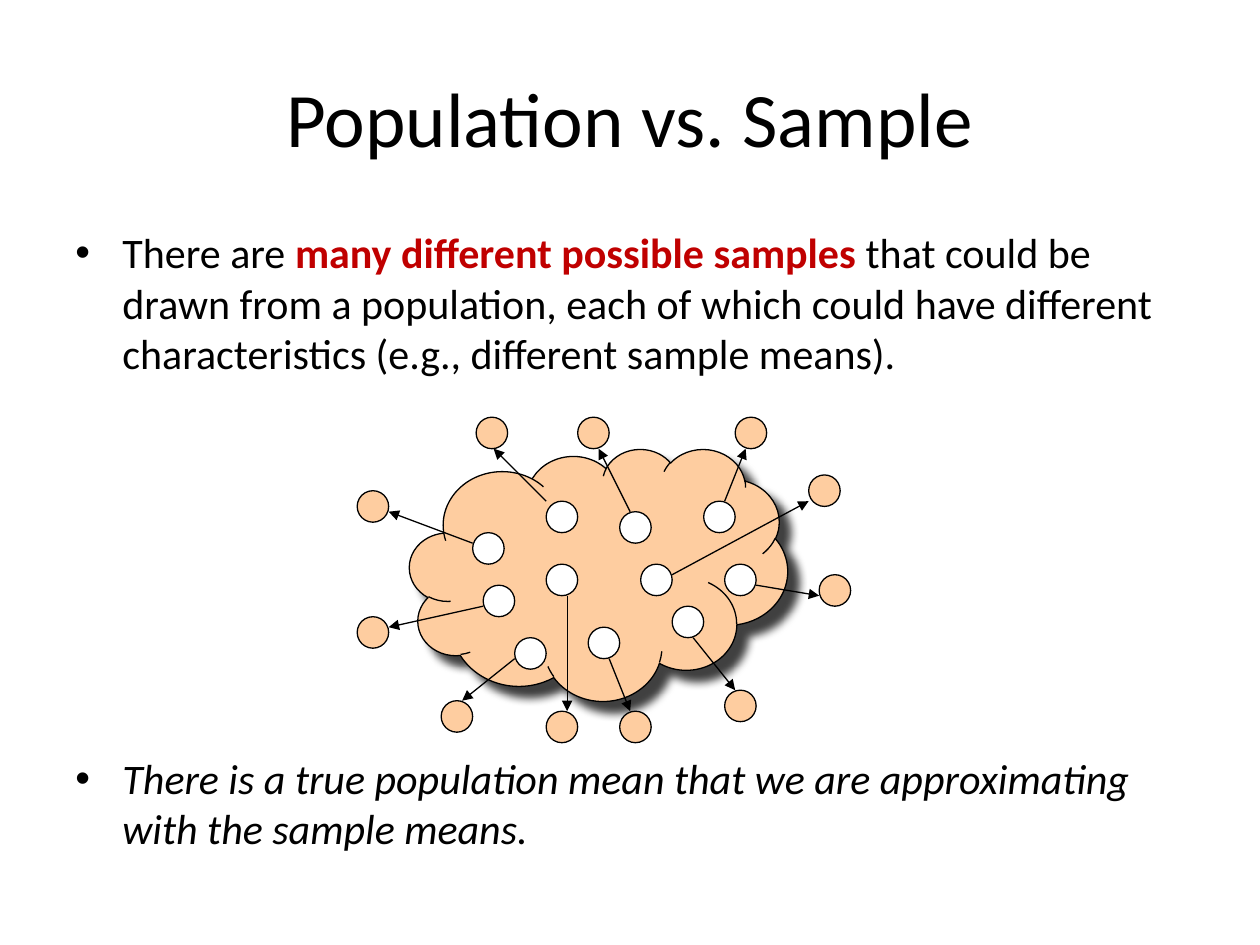
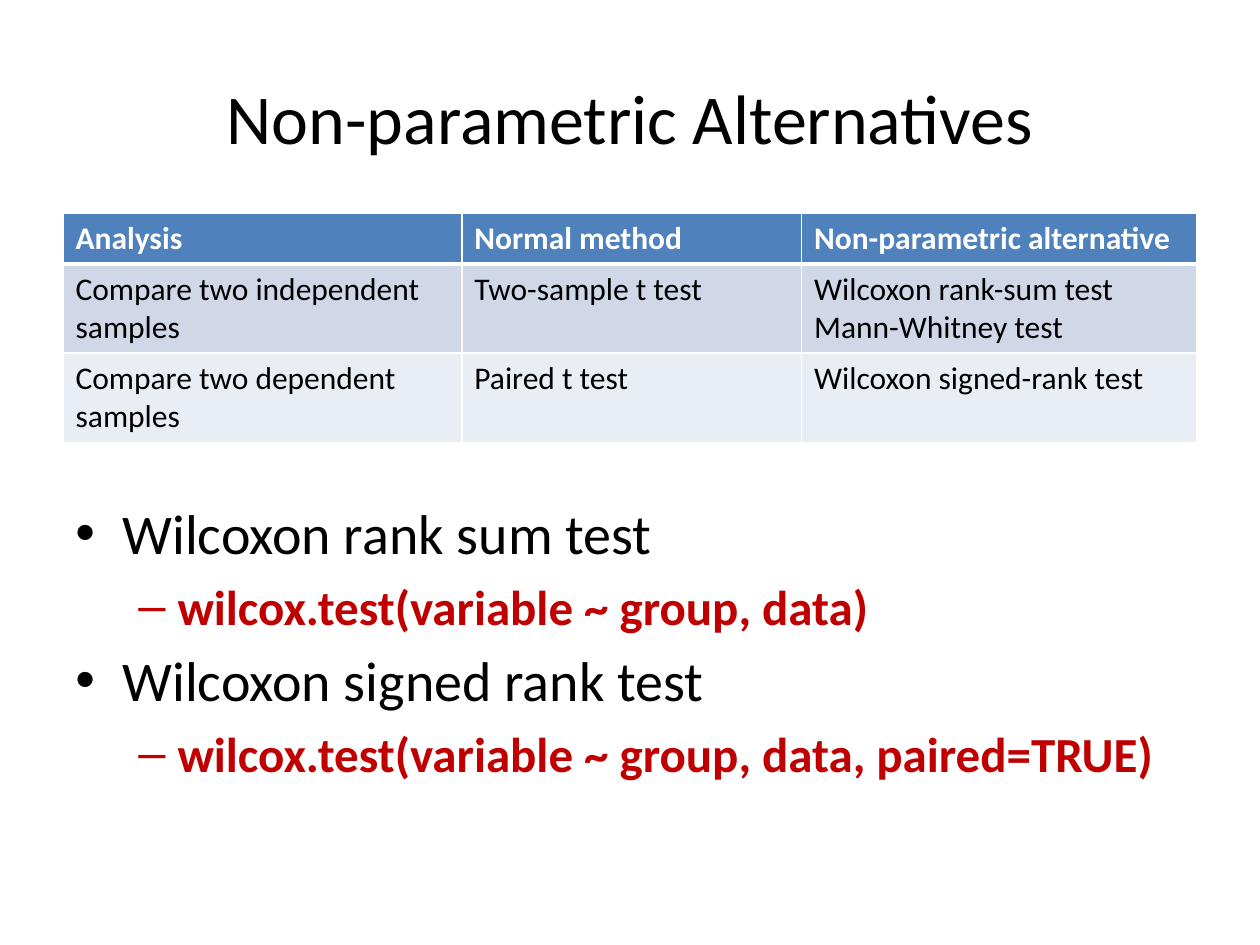
"""Build two statistics slides: samples of a population, and non-parametric tests."""
from dataclasses import dataclass

from lxml import etree
from pptx import Presentation
from pptx.dml.color import RGBColor
from pptx.enum.shapes import MSO_CONNECTOR, MSO_SHAPE
from pptx.enum.text import MSO_ANCHOR, PP_ALIGN
from pptx.oxml.ns import qn
from pptx.util import Cm, Length, Pt

STRAIGHT = MSO_CONNECTOR.STRAIGHT
OVAL, CLOUD = MSO_SHAPE.OVAL, MSO_SHAPE.CLOUD
MIDDLE, CENTER = MSO_ANCHOR.MIDDLE, PP_ALIGN.CENTER

BLACK = RGBColor(0x00, 0x00, 0x00)
WHITE = RGBColor(0xFF, 0xFF, 0xFF)
RED = RGBColor(0xC0, 0x00, 0x00)
PEACH = RGBColor(0xFE, 0xCD, 0xA0)
HEADER_BLUE = RGBColor(0x4F, 0x81, 0xBD)
BAND_DARK = RGBColor(0xD0, 0xD8, 0xE8)
BAND_LIGHT = RGBColor(0xE9, 0xED, 0xF4)

FONT = "Calibri"
LEFT, WIDTH = Cm(1.27), Cm(22.86)
DIAGRAM_LEFT, DIAGRAM_TOP = Cm(7.2), Cm(8.41)
UNIT = Cm(2.54) / 12
DOT = 3


@dataclass(frozen=True)
class Run:
    text: str
    color: RGBColor = BLACK
    bold: bool = False
    italic: bool = False


@dataclass(frozen=True)
class Level:
    bullet: str
    margin: Length
    hanging: Length


@dataclass(frozen=True)
class Bullet:
    runs: tuple[Run, ...]
    size: int
    level: int = 0
    before: int = 6


@dataclass(frozen=True)
class Draw:
    member: tuple[float, float]
    sample: tuple[float, float]
    start: tuple[float, float]
    end: tuple[float, float]


LEVELS = (Level("•", Cm(0.95), Cm(0.95)), Level("–", Cm(2.06), Cm(0.79)))

POPULATION_BULLETS = (
    Bullet((
        Run("There are "),
        Run("many different possible samples ", RED, bold=True),
        Run("that could be drawn from a population, each of which could have "
            "different characteristics (e.g., different sample means)."),
    ), 24),
    Bullet((
        Run("There is a true population mean that we are approximating "
            "with the sample means.", italic=True),
    ), 24, before=214),
)

DRAWS = (
    Draw((11, 11), (0, 7), (11, 12), (3, 9)),
    Draw((12, 16), (0, 19), (12, 18), (3, 20)),
    Draw((18, 8), (11.33, 0), (18, 8), (13, 3)),
    Draw((15, 21), (8, 27), (15, 23), (10, 27)),
    Draw((25, 9), (21, 0), (26, 9), (23, 3)),
    Draw((18, 14), (18, 28), (20, 17), (20, 28)),
    Draw((22, 20), (25, 28), (24, 23), (26, 28)),
    Draw((30, 18), (35, 26), (32, 21), (36, 26)),
    Draw((35, 14), (44, 15), (38, 16), (44, 17)),
    Draw((27, 14), (43, 5.5), (30, 15), (43, 8)),
    Draw((33, 8), (36, 0), (35, 8), (37, 3)),
)

TEST_BULLETS = (
    Bullet((Run("Wilcoxon rank sum test"),), 32),
    Bullet((Run("wilcox.test(variable ~ group, data)", RED, bold=True),), 28, 1),
    Bullet((Run("Wilcoxon signed rank test"),), 32),
    Bullet((Run("wilcox.test(variable ~ group, data, paired=TRUE)", RED, bold=True),), 28, 1),
)

TABLE = (
    ("Analysis", "Normal method", "Non-parametric alternative"),
    ("Compare two independent samples", "Two-sample t test",
     "Wilcoxon rank-sum test\nMann-Whitney test"),
    ("Compare two dependent samples", "Paired t test", "Wilcoxon signed-rank test"),
)
COLUMN_WIDTHS = (Cm(8.04), Cm(6.85), Cm(7.97))
ROW_HEIGHTS = (Cm(1.03), Cm(1.8), Cm(1.8))
ROW_FILLS = (HEADER_BLUE, BAND_DARK, BAND_LIGHT)


def add_run(p, run: Run, size: int) -> None:
    """Append one formatted run to a paragraph."""
    r = p.add_run()
    r.text = run.text
    r.font.name = FONT
    r.font.size = Pt(size)
    r.font.bold = run.bold
    r.font.italic = run.italic
    r.font.color.rgb = run.color


def add_titled_slide(prs, title: str, size: int):
    """Add a title-only slide and format its title."""
    s = prs.slides.add_slide(prs.slide_layouts[5])
    sp = s.shapes.title
    sp.left, sp.top, sp.width, sp.height = LEFT, Cm(0.76), WIDTH, Cm(3.18)
    tf = sp.text_frame
    tf.vertical_anchor = MIDDLE
    p = tf.paragraphs[0]
    p.alignment = CENTER
    add_run(p, Run(title), size)
    return s


def add_bullets(s, bullets: tuple[Bullet, ...], top: Length, width: Length,
                height: Length) -> None:
    """Add a text box of bulleted paragraphs."""
    tf = s.shapes.add_textbox(LEFT, top, width, height).text_frame
    tf.word_wrap = True
    for i, bullet in enumerate(bullets):
        p = tf.add_paragraph() if i else tf.paragraphs[0]
        p.level = bullet.level
        if i:
            p.space_before = Pt(bullet.before)
        level = LEVELS[bullet.level]
        pPr = p._p.get_or_add_pPr()
        pPr.set("marL", str(level.margin))
        pPr.set("indent", str(-level.hanging))
        etree.SubElement(pPr, qn("a:buFont"), typeface="Arial")
        etree.SubElement(pPr, qn("a:buChar"), char=level.bullet)
        for run in bullet.runs:
            add_run(p, run, bullet.size)


def place(point: tuple[float, float]) -> tuple[int, int]:
    """Turn diagram grid units into a slide position."""
    x, y = point
    return round(DIAGRAM_LEFT + x * UNIT), round(DIAGRAM_TOP + y * UNIT)


def add_outlined(s, kind, point: tuple[float, float], width: float, height: float,
                 color: RGBColor):
    """Add a filled shape with a thin black outline on the diagram grid."""
    sp = s.shapes.add_shape(kind, *place(point), round(width * UNIT), round(height * UNIT))
    sp.shadow.inherit = False
    sp.fill.solid()
    sp.fill.fore_color.rgb = color
    sp.line.color.rgb = BLACK
    sp.line.width = Pt(0.75)
    return sp


def add_drop_shadow(sp) -> None:
    """Give a shape a soft shadow to the lower right."""
    effects = sp._element.spPr.find(qn("a:effectLst"))
    shadow = etree.SubElement(effects, qn("a:outerShdw"), blurRad=str(Pt(5)),
                              dist=str(Pt(8.5)), dir="2700000", rotWithShape="0")
    color = etree.SubElement(shadow, qn("a:srgbClr"), val=str(BLACK))
    etree.SubElement(color, qn("a:alpha"), val="75000")


def add_arrow(s, start: tuple[float, float], end: tuple[float, float]) -> None:
    """Add a thin black arrow on the diagram grid."""
    c = s.shapes.add_connector(STRAIGHT, *place(start), *place(end))
    c.line.color.rgb = BLACK
    c.line.width = Pt(0.75)
    spPr = c._element.spPr
    etree.SubElement(spPr.find(qn("a:ln")), qn("a:tailEnd"), type="triangle")
    etree.SubElement(spPr, qn("a:effectLst"))


def set_borders(cell, bottom: int, top: int) -> None:
    """Draw white borders round a table cell."""
    tcPr = cell._tc.get_or_add_tcPr()
    for side, width in (("lnL", 1), ("lnR", 1), ("lnT", top), ("lnB", bottom)):
        ln = etree.SubElement(tcPr, qn(f"a:{side}"), w=str(Pt(width)))
        fill = etree.SubElement(ln, qn("a:solidFill"))
        etree.SubElement(fill, qn("a:srgbClr"), val=str(WHITE))


def add_test_table(s) -> None:
    """Add the table that pairs each method with its alternative."""
    table = s.shapes.add_table(len(TABLE), len(COLUMN_WIDTHS), LEFT, Cm(4.29),
                               sum(COLUMN_WIDTHS), sum(ROW_HEIGHTS)).table
    for column, width in zip(table.columns, COLUMN_WIDTHS):
        column.width = width
    for i, texts in enumerate(TABLE):
        table.rows[i].height = ROW_HEIGHTS[i]
        header = i == 0
        for j, text in enumerate(texts):
            cell = table.cell(i, j)
            set_borders(cell, bottom=3 if header else 1, top=3 if i == 1 else 1)
            cell.fill.solid()
            cell.fill.fore_color.rgb = ROW_FILLS[i]
            tf = cell.text_frame
            for k, line in enumerate(text.split("\n")):
                p = tf.add_paragraph() if k else tf.paragraphs[0]
                add_run(p, Run(line, WHITE if header else BLACK, bold=header), 18)


def build_population_slide(prs) -> None:
    """Build the slide on samples drawn from a population."""
    s = add_titled_slide(prs, "Population vs. Sample", 44)
    add_bullets(s, POPULATION_BULLETS, Cm(4.45), WIDTH, Cm(13.59))
    add_drop_shadow(add_outlined(s, CLOUD, (5, 3), 36, 24, PEACH))
    for draw in DRAWS:
        add_outlined(s, OVAL, draw.member, DOT, DOT, WHITE)
        add_outlined(s, OVAL, draw.sample, DOT, DOT, PEACH)
    for draw in DRAWS:
        add_arrow(s, draw.start, draw.end)


def build_alternatives_slide(prs) -> None:
    """Build the slide on non-parametric alternatives."""
    s = add_titled_slide(prs, "Non-parametric Alternatives", 40)
    add_bullets(s, TEST_BULLETS, Cm(9.93), Cm(23.14), Cm(7.77))
    add_test_table(s)


def main() -> None:
    """Build and save the presentation."""
    prs = Presentation()
    prs.slide_width, prs.slide_height = Cm(25.4), Cm(19.05)
    build_population_slide(prs)
    build_alternatives_slide(prs)
    prs.save("out.pptx")


if __name__ == "__main__":
    main()
